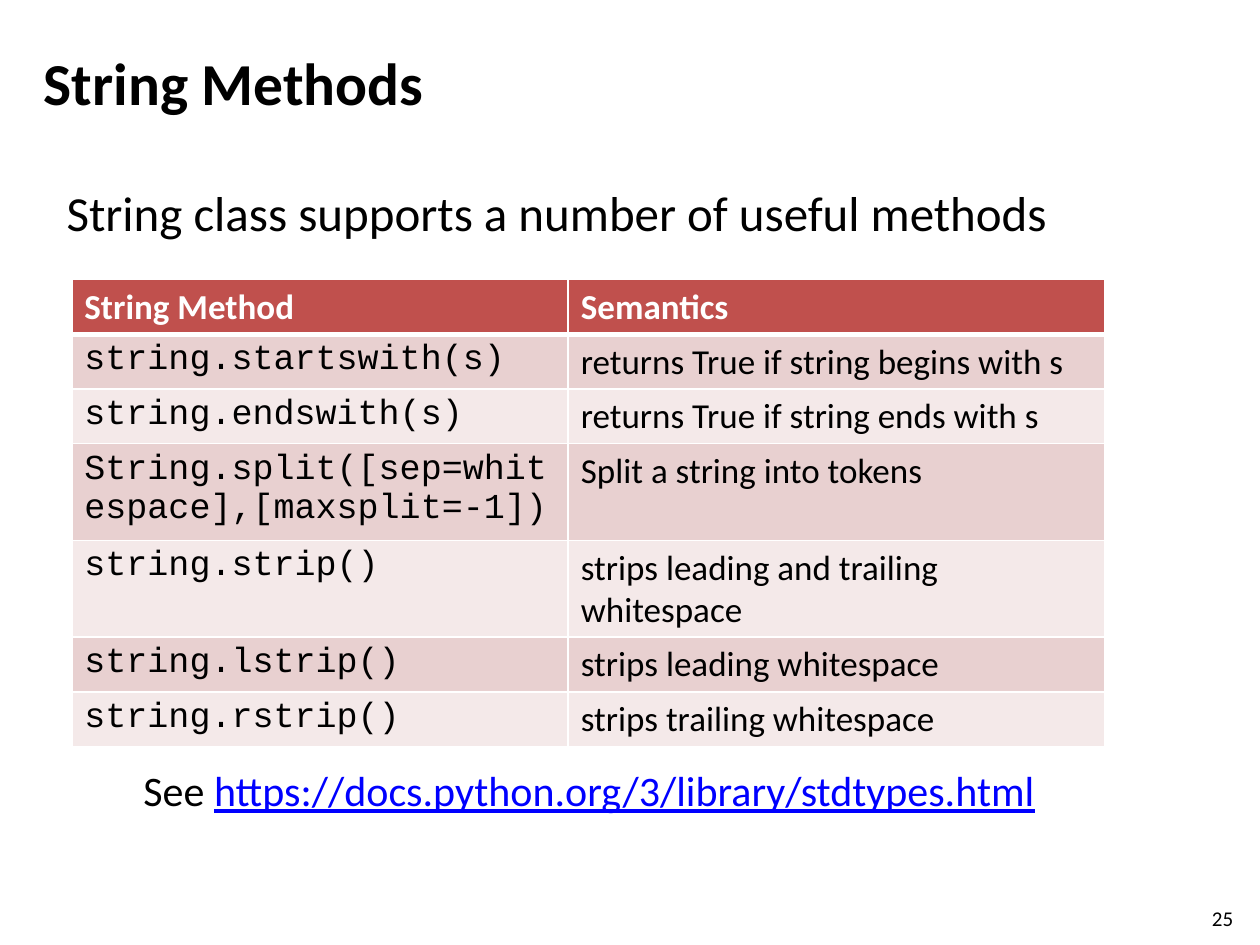
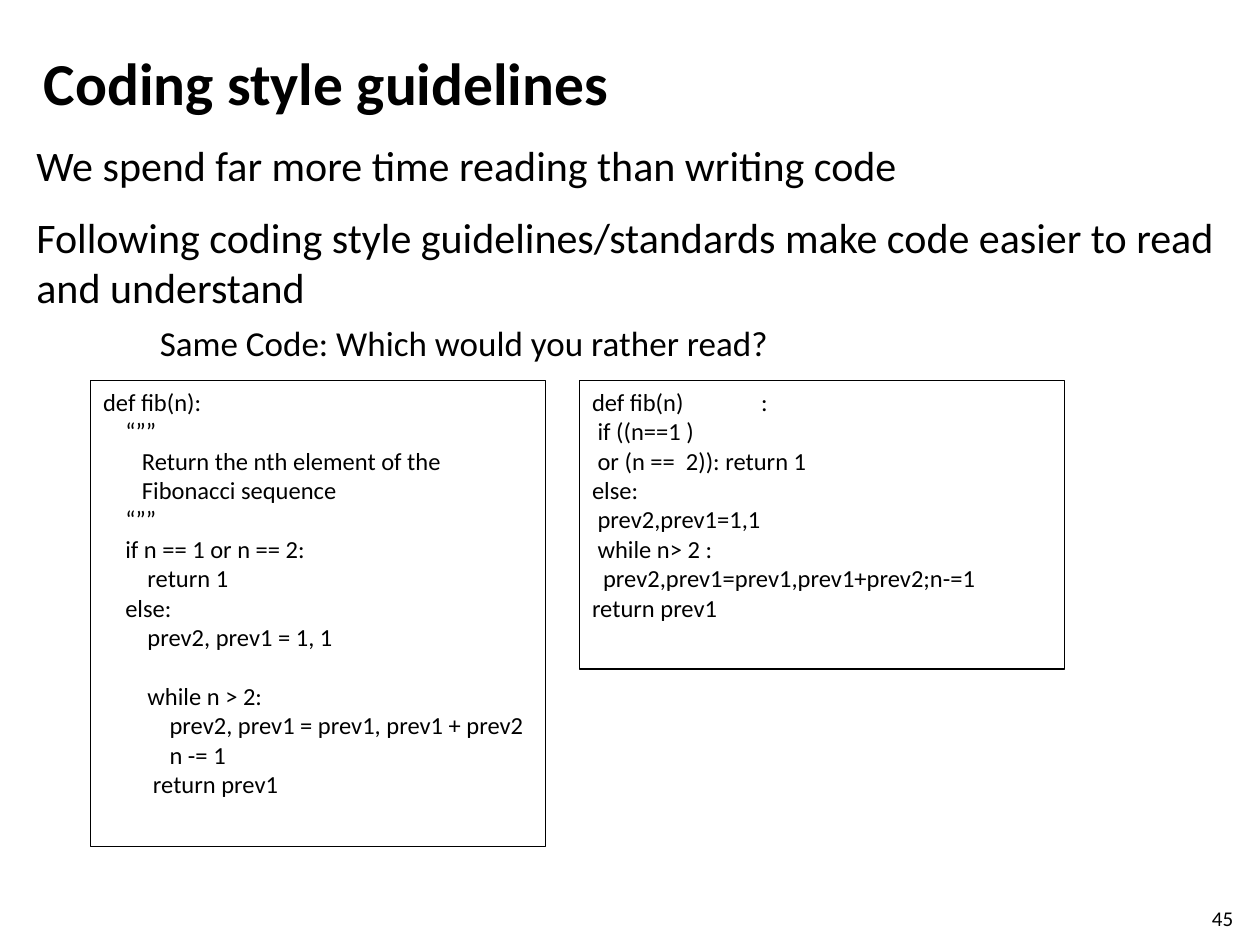
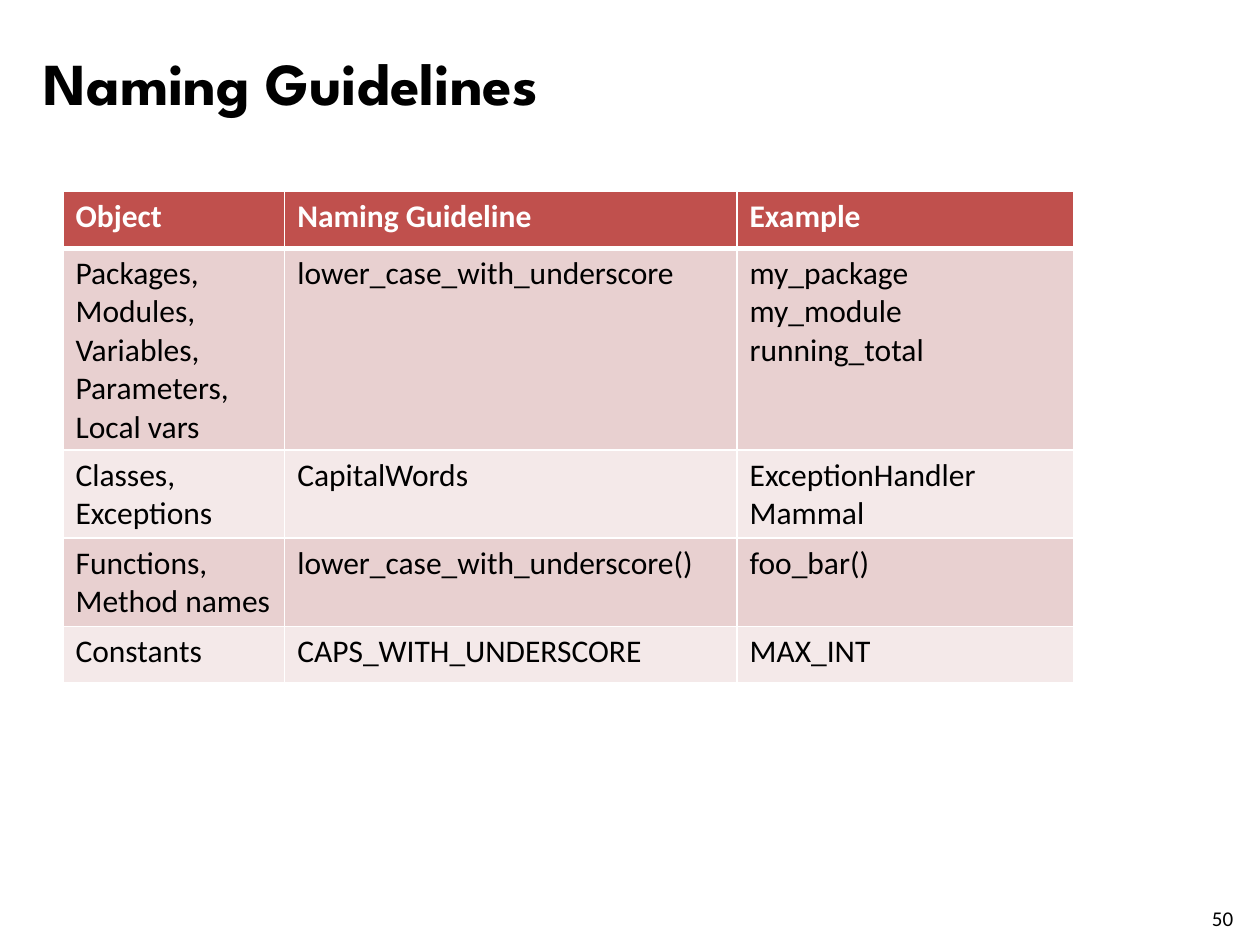
from dataclasses import dataclass

from lxml import etree
from pptx import Presentation
from pptx.dml.color import RGBColor
from pptx.enum import shapes, text
from pptx.oxml import ns
from pptx.util import Inches, Pt


@dataclass(frozen=True)
class Theme:
    black: str = "000000"
    white: str = "FFFFFF"
    blue: str = "0000FF"
    head: str = "C0504D"
    bands: tuple = ("E8D0D0", "F4E9E9")
    body: str = "Calibri"
    mono: str = "Courier New"
    title: int = 34
    lead: int = 28
    large: int = 24
    mid: int = 20
    small: int = 18
    code: int = 14
    page: int = 12


class Deck:
    def __init__(self, theme):
        self.theme = theme
        self.prs = Presentation()
        self.prs.slide_width = Inches(10)
        self.prs.slide_height = Inches(7.5)

    def slide(self, title, page, font=None):
        self.now = self.prs.slides.add_slide(self.prs.slide_layouts[6])
        head = self.note(title, (0.25, 0.3, 8.67, 0.7), self.theme.title, font, bold=True)
        head.vertical_anchor = text.MSO_ANCHOR.MIDDLE
        self.note(str(page), (9.52, 7.14, 0.4, 0.24), self.theme.page)

    def style(self, frame, size, font=None, color=None, bold=False):
        for para in frame.paragraphs:
            para.alignment = text.PP_ALIGN.LEFT
            for run in para.runs:
                run.font.name = font or self.theme.body
                run.font.size = Pt(size)
                run.font.bold = bold
                run.font.color.rgb = RGBColor.from_string(color or self.theme.black)
            if not para.runs:
                etree.SubElement(para._p, ns.qn("a:endParaRPr"), sz=str(size * 100))

    def note(self, words, at, size, font=None, bold=False, after=0):
        frame = self.now.shapes.add_textbox(*map(Inches, at)).text_frame
        frame.word_wrap = True
        frame.text = words
        self.style(frame, size, font, bold=bold)
        for para in frame.paragraphs:
            para.space_after = Pt(after)
        return frame

    def address(self, lead, url, at):
        frame = self.note(lead, at, self.theme.large)
        run = frame.paragraphs[0].add_run()
        run.text = url
        self.style(frame, self.theme.large)
        run.font.color.rgb = RGBColor.from_string(self.theme.blue)
        run.font.underline = True

    def code(self, words, at):
        box = self.now.shapes.add_shape(shapes.MSO_SHAPE.RECTANGLE, *map(Inches, at))
        box.shadow.inherit = False
        box.fill.background()
        box.line.color.rgb = RGBColor.from_string(self.theme.black)
        box.line.width = Pt(0.75)
        frame = box.text_frame
        frame.word_wrap = True
        frame.vertical_anchor = text.MSO_ANCHOR.TOP
        frame.text = words
        self.style(frame, self.theme.code)

    def edge(self, cell, side, width):
        props = cell._tc.get_or_add_tcPr()
        line = etree.SubElement(props, ns.qn("a:ln" + side), w=str(Pt(width)))
        fill = etree.SubElement(line, ns.qn("a:solidFill"))
        etree.SubElement(fill, ns.qn("a:srgbClr"), val=self.theme.white)

    def table(self, rows, left, top, widths, height, size, fonts):
        grid = self.now.shapes.add_table(
            len(rows), len(widths), Inches(left), Inches(top),
            Inches(sum(widths)), Inches(height * len(rows))).table
        for col, width in zip(grid.columns, widths):
            col.width = Inches(width)
        for r, row in enumerate(rows):
            grid.rows[r].height = Inches(height)
            head = r == 0
            color = self.theme.white if head else self.theme.black
            fill = self.theme.head if head else self.theme.bands[(r - 1) % 2]
            for c, words in enumerate(row):
                cell = grid.cell(r, c)
                for side in "LRTB":
                    thick = (r, side) in ((0, "B"), (1, "T"))
                    self.edge(cell, side, 3 if thick else 1)
                cell.fill.solid()
                cell.fill.fore_color.rgb = RGBColor.from_string(fill)
                cell.text_frame.text = words
                font = self.theme.body if head else fonts[c]
                self.style(cell.text_frame, size, font, color, head)


METHODS = [
    ("String Method", "Semantics"),
    ("string.startswith(s)", "returns True if string begins with s"),
    ("string.endswith(s)", "returns True if string ends with s"),
    ("String.split([sep=whitespace],[maxsplit=-1])", "Split a string into tokens"),
    ("string.strip()", "strips leading and trailing whitespace"),
    ("string.lstrip()", "strips leading whitespace"),
    ("string.rstrip()", "strips trailing whitespace"),
]

NAMES = [
    ("Object", "Naming Guideline", "Example"),
    ("Packages, Modules,\nVariables,\nParameters,\nLocal vars",
     "lower_case_with_underscore", "my_package\nmy_module\nrunning_total"),
    ("Classes, Exceptions", "CapitalWords", "ExceptionHandler\nMammal"),
    ("Functions,\nMethod names", "lower_case_with_underscore()", "foo_bar()"),
    ("Constants", "CAPS_WITH_UNDERSCORE", "MAX_INT"),
]

CLEAN = """def fib(n):
    “””
       Return the nth element of the
       Fibonacci sequence
    “””
    if n == 1 or n == 2:
        return 1
    else:
        prev2, prev1 = 1, 1

        while n > 2:
            prev2, prev1 = prev1, prev1 + prev2
            n -= 1
         return prev1"""

MESSY = """def fib(n)              :
 if ((n==1 )
 or (n ==  2)): return 1
else:
 prev2,prev1=1,1
 while n> 2 :
  prev2,prev1=prev1,prev1+prev2;n-=1
return prev1"""


def main():
    theme = Theme()
    deck = Deck(theme)

    deck.slide("String Methods", 25)
    deck.note("String class supports a number of useful methods",
              (0.43, 1.4, 8.48, 0.57), theme.lead)
    deck.table(METHODS, 0.57, 2.22, (3.94, 4.26), 0.43, theme.mid,
               (theme.mono, theme.body))
    deck.address("See ", "https://docs.python.org/3/library/stdtypes.html",
                 (1.04, 6.02, 8.48, 0.5))

    deck.slide("Coding style guidelines", 45)
    deck.note("We spend far more time reading than writing code\n"
              "Following coding style guidelines/standards make code easier "
              "to read and understand",
              (0.19, 1.06, 9.58, 4.93), theme.large, after=12)
    deck.code(CLEAN, (0.72, 3.02, 3.61, 3.7))
    deck.code(MESSY, (4.6, 3.02, 3.85, 2.29))
    deck.note("Same Code: Which would you rather read?",
              (1.17, 2.5, 5.23, 0.44), theme.mid)

    deck.slide("Naming Guidelines", 50, "League Spartan")
    deck.table(NAMES, 0.5, 1.52, (1.76, 3.59, 2.67), 0.45, theme.small,
               (theme.body,) * 3)

    deck.prs.save("out.pptx")


if __name__ == "__main__":
    main()
